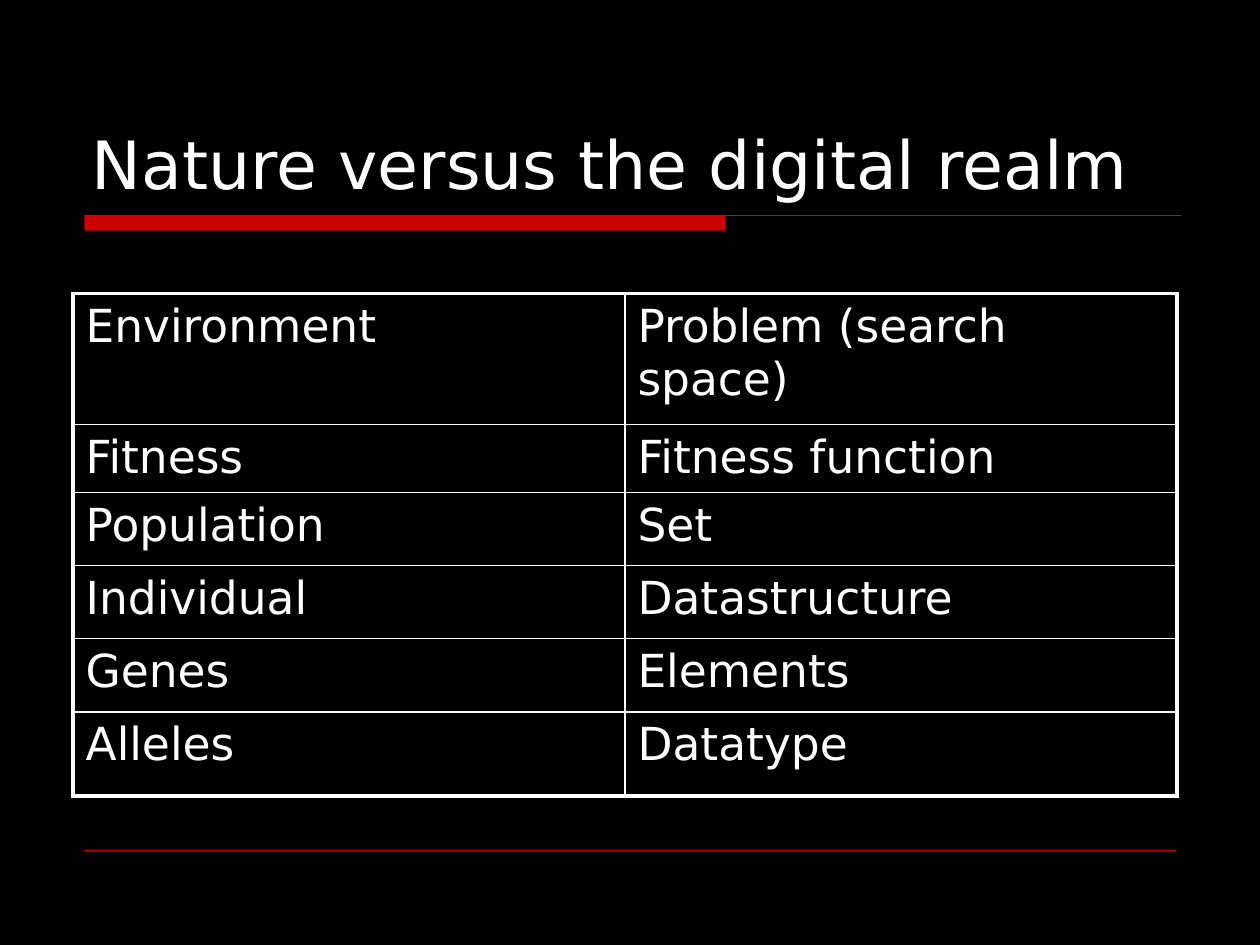
from lxml import etree
from pptx import Presentation, util as u
from pptx.dml.color import RGBColor
from pptx.enum import shapes, text
from pptx.oxml import ns

WHITE, RED, GRAY, BLACK = "FFFFFF", "CC0000", "444444", "000000"
THICK, THIN = 2.25, 1
ROWS = [
    ("Environment", "Problem (search space)"),
    ("Fitness", "Fitness function"),
    ("Population", "Set"),
    ("Individual", "Datastructure"),
    ("Genes", "Elements"),
    ("Alleles", "Datatype"),
]
ROW_HEIGHTS = [1.04, 0.54, 0.58, 0.58, 0.58, 0.67]


def rgb(color):
    return RGBColor.from_string(color)


def inches(*values):
    return [u.Inches(v) for v in values]


class Deck:
    font = "DejaVu Sans"

    def __init__(self, width, height):
        self.prs = Presentation()
        self.prs.slide_width, self.prs.slide_height = inches(width, height)

    def add_slide(self, background):
        self.s = self.prs.slides.add_slide(self.prs.slide_layouts[6])
        fill = self.s.background.fill
        fill.solid()
        fill.fore_color.rgb = rgb(background)

    def add_text(self, tf, content, size):
        r = tf.paragraphs[0].add_run()
        r.text = content
        for name, value in {"name": self.font, "size": u.Pt(size)}.items():
            setattr(r.font, name, value)
        r.font.color.rgb = rgb(WHITE)

    def title(self, content, box, size):
        tf = self.s.shapes.add_textbox(*inches(*box)).text_frame
        tf.word_wrap = True
        tf.vertical_anchor = text.MSO_ANCHOR.BOTTOM
        self.add_text(tf, content, size)

    def bar(self, box, color):
        sp = self.s.shapes.add_shape(shapes.MSO_SHAPE.RECTANGLE, *inches(*box))
        sp.shadow.inherit = False
        sp.fill.solid()
        sp.fill.fore_color.rgb = rgb(color)
        sp.line.fill.background()

    def rule(self, left, right, y, color, width):
        line = self.s.shapes.add_connector(
            shapes.MSO_CONNECTOR.STRAIGHT, *inches(left, y, right, y))
        line.line.color.rgb = rgb(color)
        line.line.width = u.Pt(width)
        etree.SubElement(line._element.spPr, ns.qn("a:effectLst"))

    def border(self, cell, widths):
        """Draw the left, right, top and bottom edges, in that order."""
        tc_pr = cell._tc.get_or_add_tcPr()
        for i, (side, width) in enumerate(zip("LRTB", widths)):
            ln = etree.Element(ns.qn(f"a:ln{side}"), w=str(u.Pt(width)))
            fill = etree.SubElement(ln, ns.qn("a:solidFill"))
            etree.SubElement(fill, ns.qn("a:srgbClr"), val=WHITE)
            tc_pr.insert(i, ln)

    def table(self, rows, heights, left, top, width, size):
        n_rows, n_cols = len(rows), len(rows[0])
        table = self.s.shapes.add_table(
            n_rows, n_cols, *inches(left, top, width, sum(heights))).table
        table.first_row = table.horz_banding = False
        for i, (row, height) in enumerate(zip(rows, heights)):
            table.rows[i].height = u.Inches(height)
            for j, content in enumerate(row):
                cell = table.cell(i, j)
                cell.fill.background()
                outer = (j == 0, j == n_cols - 1, i == 0, i == n_rows - 1)
                self.border(cell, [THICK if edge else THIN for edge in outer])
                self.add_text(cell.text_frame, content, size)


def main():
    deck = Deck(10, 7.5)
    deck.add_slide(BLACK)
    deck.rule(0.67, 9.37, 1.71, GRAY, 0.25)
    deck.bar((0.67, 1.71, 5.09, 0.12), RED)
    deck.rule(0.67, 9.33, 6.75, RED, 0.25)
    deck.table(ROWS, ROW_HEIGHTS, 0.58, 2.33, 8.76, 26)
    deck.title("Nature versus the digital realm", (0.63, 0.33, 8.75, 1.33), 38)
    deck.prs.save("out.pptx")


if __name__ == "__main__":
    main()
